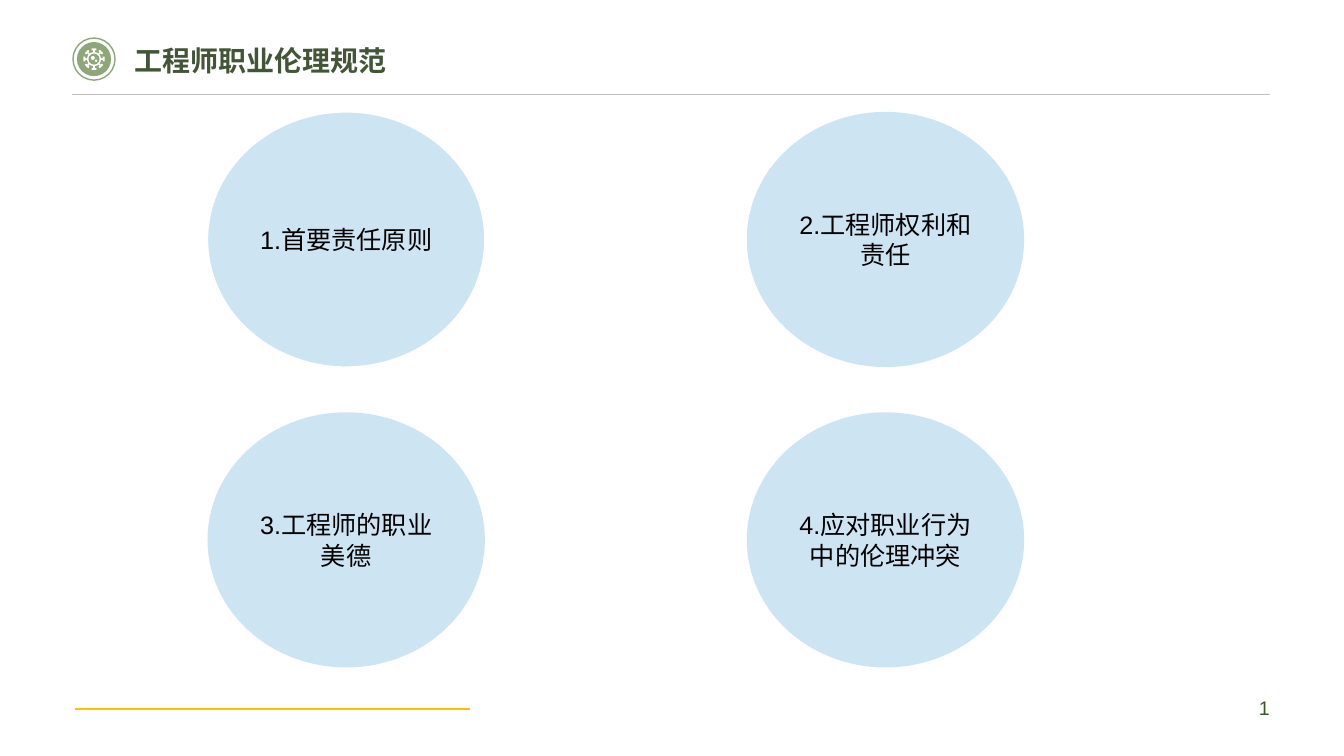
"""Build the slide on the ethical norms of the engineering profession."""
from math import cos, pi, sin

from lxml import etree
from pptx import Presentation
from pptx.dml.color import RGBColor
from pptx.enum.shapes import MSO_CONNECTOR, MSO_SHAPE
from pptx.enum.text import MSO_ANCHOR, MSO_AUTO_SIZE, PP_ALIGN
from pptx.oxml.ns import qn
from pptx.util import Cm, Pt

TITLE = "工程师职业伦理规范"
TOPICS = [
    ["1.首要责任原则", "2.工程师权利和责任"],
    ["3.工程师的职业美德", "4.应对职业行为中的伦理冲突"],
]
PAGE_NUMBER = "1"

SAGE = RGBColor(0x8D, 0xA7, 0x78)
DARK_GREEN = RGBColor(0x44, 0x54, 0x37)
NUMBER_GREEN = RGBColor(0x38, 0x57, 0x23)
PALE_BLUE = RGBColor(0xCD, 0xE4, 0xF3)
GOLD = RGBColor(0xFF, 0xC0, 0x00)
GREY = RGBColor(0xBF, 0xBF, 0xBF)
WHITE = RGBColor(0xFF, 0xFF, 0xFF)
BLACK = RGBColor(0x00, 0x00, 0x00)

LATIN_FONT, CHINESE_FONT = "Arial", "Noto Sans CJK SC"
OVAL, STRAIGHT = MSO_SHAPE.OVAL, MSO_CONNECTOR.STRAIGHT
TOP, MIDDLE = MSO_ANCHOR.TOP, MSO_ANCHOR.MIDDLE
LEFT, CENTER, RIGHT = PP_ALIGN.LEFT, PP_ALIGN.CENTER, PP_ALIGN.RIGHT
NO_AUTOFIT = MSO_AUTO_SIZE.NONE
TITLE_ONLY_LAYOUT = 5

TOPIC_LEFT, TOPIC_TOP = 5.23, 2.82
TOPIC_WIDTH, TOPIC_HEIGHT = 6.99, 6.43
COLUMN_STEP, ROW_STEP = 13.59, 7.57

BADGE_X, BADGE_Y = 2.37, 1.49
BADGE_DISCS = [(0, 0, 0.53, None, SAGE), (0, 0, 0.43, SAGE, None)]
GEAR_DISCS = [
    (0, 0, 0.18, WHITE, None),
    (0, 0, 0.14, SAGE, None),
    (-0.03, -0.03, 0.05, WHITE, None),
    (0.05, 0.04, 0.03, WHITE, None),
]
TOOTH_COUNT = 8
TOOTH = [(0.15, -0.02), (0.22, -0.02), (0.22, -0.06), (0.27, -0.06),
         (0.27, 0.06), (0.22, 0.06), (0.22, 0.02), (0.15, 0.02)]


def style_text(paragraph, size, color, alignment, latin=LATIN_FONT, bold=False):
    paragraph.alignment = alignment
    font = paragraph.font
    font.size, font.name, font.bold = Pt(size), latin, bold
    font.color.rgb = color
    properties = paragraph._p.pPr.find(qn("a:defRPr"))
    etree.SubElement(properties, qn("a:ea"), typeface=CHINESE_FONT)


def paint(shape, fill, line):
    shape.shadow.inherit = False
    if fill is None:
        shape.fill.background()
    else:
        shape.fill.solid()
        shape.fill.fore_color.rgb = fill
    if line is None:
        shape.line.fill.background()
    else:
        shape.line.color.rgb = line
        shape.line.width = Pt(1)


def add_oval(slide, left, top, width, height, fill, line):
    oval = slide.shapes.add_shape(OVAL, Cm(left), Cm(top), Cm(width), Cm(height))
    paint(oval, fill, line)
    return oval


def add_discs(slide, discs):
    for x, y, radius, fill, line in discs:
        add_oval(slide, BADGE_X + x - radius, BADGE_Y + y - radius,
                 2 * radius, 2 * radius, fill, line)


def add_teeth(slide):
    points = []
    for index in range(TOOTH_COUNT):
        angle = 2 * pi * index / TOOTH_COUNT
        for along, across in TOOTH:
            x = BADGE_X + along * cos(angle) - across * sin(angle)
            y = BADGE_Y + along * sin(angle) + across * cos(angle)
            points.append((Cm(x), Cm(y)))
    builder = slide.shapes.build_freeform(*points[0])
    builder.add_line_segments(points[1:], close=True)
    paint(builder.convert_to_shape(), WHITE, None)


def add_rule(slide, start, end, y, color, width):
    rule = slide.shapes.add_connector(STRAIGHT, Cm(start), Cm(y), Cm(end), Cm(y))
    rule.line.color.rgb = color
    rule.line.width = Pt(width)
    etree.SubElement(rule._element.spPr, qn("a:effectLst"))


def add_title(slide):
    title = slide.shapes.title
    title.left, title.top, title.width, title.height = Cm(3.38), Cm(0.97), Cm(24.77), Cm(1.12)
    frame = title.text_frame
    frame.text = TITLE
    frame.auto_size = NO_AUTOFIT
    frame.vertical_anchor = TOP
    frame.margin_left = 0
    style_text(frame.paragraphs[0], 20, DARK_GREEN, LEFT, CHINESE_FONT, True)


def add_page_number(slide):
    box = slide.shapes.add_textbox(Cm(24.38), Cm(17.32), Cm(7.62), Cm(1.02))
    frame = box.text_frame
    frame.word_wrap = True
    frame.vertical_anchor = MIDDLE
    frame.margin_right = 0
    frame.text = PAGE_NUMBER
    style_text(frame.paragraphs[0], 14, NUMBER_GREEN, RIGHT)


def add_topics(slide):
    for row, topics in enumerate(TOPICS):
        for column, topic in enumerate(topics):
            outline = WHITE if row == column == 0 else None
            oval = add_oval(slide, TOPIC_LEFT + column * COLUMN_STEP, TOPIC_TOP + row * ROW_STEP,
                            TOPIC_WIDTH, TOPIC_HEIGHT, PALE_BLUE, outline)
            frame = oval.text_frame
            frame.word_wrap = True
            frame.vertical_anchor = MIDDLE
            frame.text = topic
            style_text(frame.paragraphs[0], 18, BLACK, CENTER)


def main():
    presentation = Presentation()
    presentation.slide_width, presentation.slide_height = Cm(33.87), Cm(19.05)
    slide = presentation.slides.add_slide(presentation.slide_layouts[TITLE_ONLY_LAYOUT])
    add_discs(slide, BADGE_DISCS)
    add_teeth(slide)
    add_discs(slide, GEAR_DISCS)
    add_rule(slide, 1.81, 32, 2.37, GREY, 0.5)
    add_title(slide)
    add_page_number(slide)
    add_rule(slide, 1.88, 11.84, 17.86, GOLD, 1.5)
    add_topics(slide)
    presentation.save("out.pptx")


if __name__ == "__main__":
    main()
